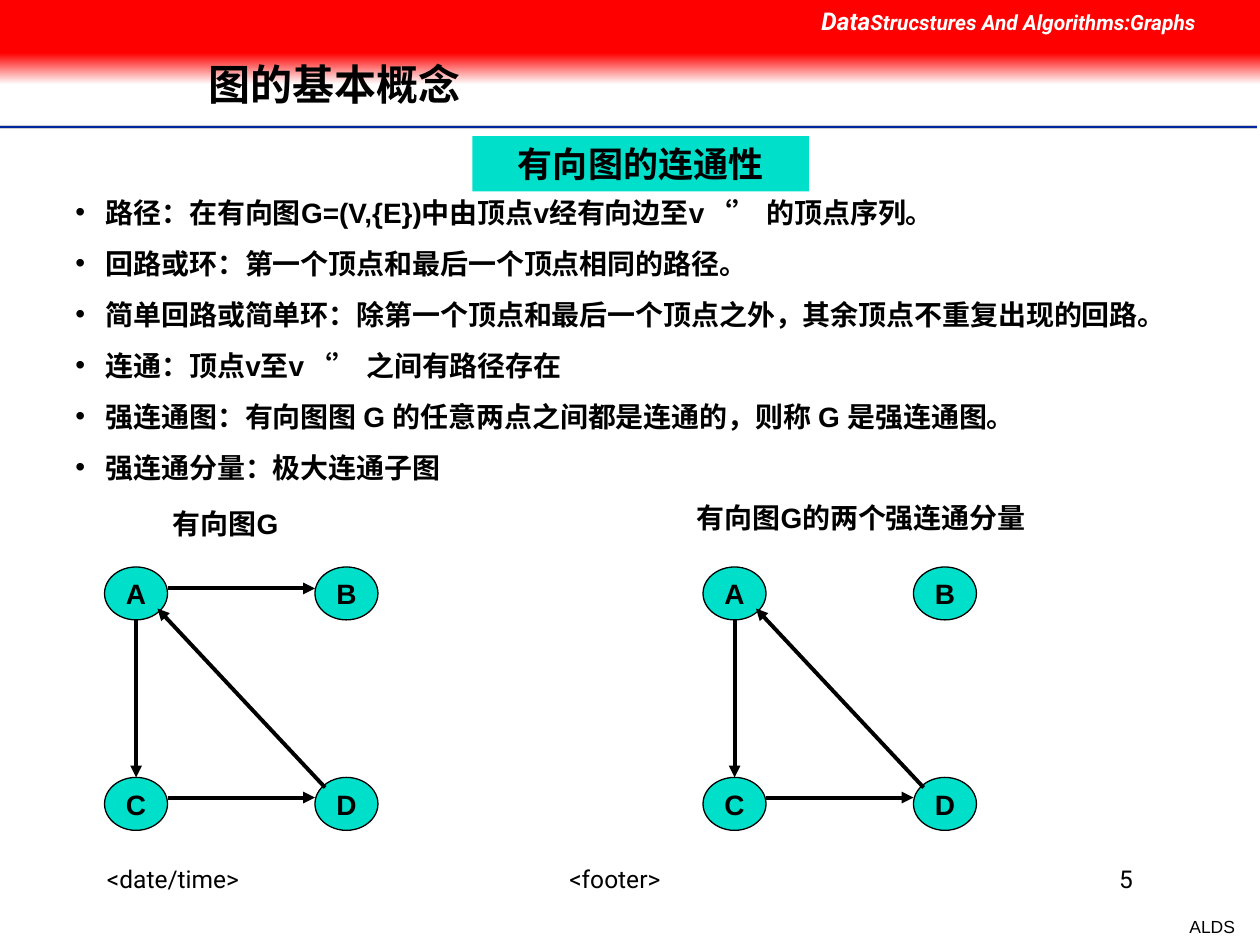
from lxml.etree import SubElement
from pptx import Presentation
from pptx.dml.color import RGBColor
from pptx.enum.lang import MSO_LANGUAGE_ID
from pptx.enum.shapes import MSO_CONNECTOR, MSO_SHAPE
from pptx.enum.text import MSO_ANCHOR, PP_ALIGN
from pptx.oxml.ns import qn
from pptx.util import Inches, Pt

COLORS = {"black": "000000", "white": "FFFFFF", "red": "FF0000", "fade": "FEFEFE",
          "teal": "00DFCA", "navy": "00279F", "gray": "CECECE"}
BODY = {"name": "Arial", "size": Pt(16), "bold": True}
FOOT = {"name": "Roboto", "size": Pt(14)}
HEAD = {"name": "Roboto", "bold": True, "italic": True}

BULLETS = [
    "路径：在有向图G=(V,{E})中由顶点v经有向边至v‘’ 的顶点序列。",
    "回路或环：第一个顶点和最后一个顶点相同的路径。",
    "简单回路或简单环：除第一个顶点和最后一个顶点之外，其余顶点不重复出现的回路。",
    "连通：顶点v至v‘’ 之间有路径存在",
    "强连通图：有向图图 G 的任意两点之间都是连通的，则称 G 是强连通图。",
    "强连通分量：极大连通子图",
]
NODES = {"A": (0, 0), "B": (1.67, 0), "C": (0, 1.67), "D": (1.67, 1.67)}
EDGES = {"AB": (0.5, 0.17, 1.67, 0.17), "CD": (0.5, 1.83, 1.67, 1.83),
         "AC": (0.25, 0.42, 0.25, 1.67), "DA": (1.75, 1.75, 0.42, 0.33)}


def rgb(name):
    """Return the named colour."""
    return RGBColor.from_string(COLORS[name])


def add_run(p, text, fmt, color="black"):
    """Append a formatted run to a paragraph."""
    r = p.add_run()
    r.text = text
    for key, value in fmt.items():
        setattr(r.font, key, value)
    r.font.language_id = MSO_LANGUAGE_ID.SIMPLIFIED_CHINESE
    r.font.color.rgb = rgb(color)


def add_text(s, box, text, fmt, align=PP_ALIGN.LEFT, wrap=True):
    """Add a one-line text box and return its frame."""
    tf = s.shapes.add_textbox(*map(Inches, box)).text_frame
    tf.word_wrap = wrap
    tf.paragraphs[0].alignment = align
    if text:
        add_run(tf.paragraphs[0], text, fmt)
    return tf


def add_block(s, kind, box, color):
    """Add a filled shape without outline or shadow."""
    sp = s.shapes.add_shape(kind, *map(Inches, box))
    sp.shadow.inherit = False
    sp.fill.solid()
    sp.fill.fore_color.rgb = rgb(color)
    sp.line.fill.background()
    return sp


def add_line(s, ends, color, width, arrow=False):
    """Add a straight line, with an arrowhead at its end if asked."""
    sp = s.shapes.add_connector(MSO_CONNECTOR.STRAIGHT, *map(Inches, ends))
    sp.line.color.rgb = rgb(color)
    sp.line.width = Pt(width)
    if arrow:
        SubElement(sp.line._get_or_add_ln(), qn("a:tailEnd"), type="triangle")
    SubElement(sp._element.spPr, qn("a:effectLst"))


def add_header(s, x, y, w):
    """Draw the red band, course name, title and rule."""
    for dy, color, width in ((1.01, "gray", 2), (1.01, "navy", 1), (1.03, "white", 1)):
        add_line(s, (x, y + dy, x + w - 0.02, y + dy), color, width)
    fade = add_block(s, MSO_SHAPE.RECTANGLE, (x, y + 0.42, w, 0.25), "red").fill
    fade.gradient()
    fade.gradient_angle = 270
    for stop, color in zip(fade.gradient_stops, ("red", "fade")):
        stop.color.rgb = rgb(color)
    add_block(s, MSO_SHAPE.RECTANGLE, (x, y, w, 0.42), "red")
    p = add_text(s, (x + 6.42, y, 3.58, 0.34), "", HEAD).paragraphs[0]
    for text, size in (("Data", 14), ("Strucstures And Algorithms:Graphs", 12)):
        add_run(p, text, HEAD | {"size": Pt(size)}, "white")
    tf = add_text(s, (x + 1.56, y + 0.32, 7.55, 0.74), "图的基本概念", BODY | {"size": Pt(24)})
    tf.vertical_anchor = MSO_ANCHOR.MIDDLE
    tf.paragraphs[0].line_spacing = 0.9


def add_footer(s, x, y):
    """Place the date, footer, page number and course code."""
    add_text(s, (x, y, 1.92, 0.5), "<date/time>", FOOT)
    add_text(s, (x + 2.67, y, 2.92, 0.5), "<footer>", FOOT, PP_ALIGN.CENTER)
    add_text(s, (x + 6.42, y, 1.92, 0.5), "5", FOOT, PP_ALIGN.RIGHT)
    add_text(s, (x + 8.59, y + 0.41, 0.56, 0.27), "ALDS",
             {"name": "Arial", "size": Pt(10)}, PP_ALIGN.RIGHT, False)


def add_banner(s, box, text):
    """Draw the teal section heading."""
    tf = add_block(s, MSO_SHAPE.RECTANGLE, box, "teal").text_frame
    tf.vertical_anchor = MSO_ANCHOR.TOP
    tf.paragraphs[0].alignment = PP_ALIGN.CENTER
    add_run(tf.paragraphs[0], text, BODY | {"size": Pt(20)})


def add_bullets(s, box, items):
    """Fill a box with bulleted definitions."""
    tf = add_text(s, box, "", BODY)
    for i, item in enumerate(items):
        p = tf.add_paragraph() if i else tf.paragraphs[0]
        if i:
            p.space_before = Pt(10)
        pPr = p._p.get_or_add_pPr()
        indent = Inches(0.24)
        pPr.set("marL", str(indent))
        pPr.set("indent", str(-indent))
        SubElement(pPr, qn("a:buFont"), typeface="Arial")
        SubElement(pPr, qn("a:buChar"), char="•")
        add_run(p, item, BODY)


def add_graph(s, x, y, edges):
    """Draw the four nodes and the chosen directed edges."""
    for name, (dx, dy) in NODES.items():
        sp = add_block(s, MSO_SHAPE.OVAL, (x + dx, y + dy, 0.5, 0.42), "teal")
        sp.line.color.rgb = rgb("black")
        sp.line.width = Pt(0.75)
        tf = sp.text_frame
        tf.word_wrap = False
        tf.vertical_anchor = MSO_ANCHOR.MIDDLE
        tf.paragraphs[0].alignment = PP_ALIGN.CENTER
        add_run(tf.paragraphs[0], name, BODY)
    for edge in edges:
        x1, y1, x2, y2 = EDGES[edge]
        add_line(s, (x + x1, y + y1, x + x2, y + y2), "black", 2.25, True)


def main():
    """Build and save the slide."""
    prs = Presentation()
    prs.slide_width, prs.slide_height = Inches(10), Inches(7.5)
    s = prs.slides.add_slide(prs.slide_layouts[6])
    add_header(s, 0, 0, 10)
    add_footer(s, 0.75, 6.81)
    add_banner(s, (3.75, 1.08, 2.67, 0.44), "有向图的连通性")
    add_bullets(s, (0.5, 1.5, 9, 2.4), BULLETS)
    add_text(s, (1.08, 3.97, 1.42, 0.37), "有向图G", BODY, PP_ALIGN.CENTER)
    add_text(s, (5.25, 3.92, 3.17, 0.37), "有向图G的两个强连通分量", BODY, PP_ALIGN.CENTER)
    add_graph(s, 0.83, 4.5, ("AB", "CD", "AC", "DA"))
    add_graph(s, 5.58, 4.5, ("CD", "AC", "DA"))
    prs.save("out.pptx")


if __name__ == "__main__":
    main()
